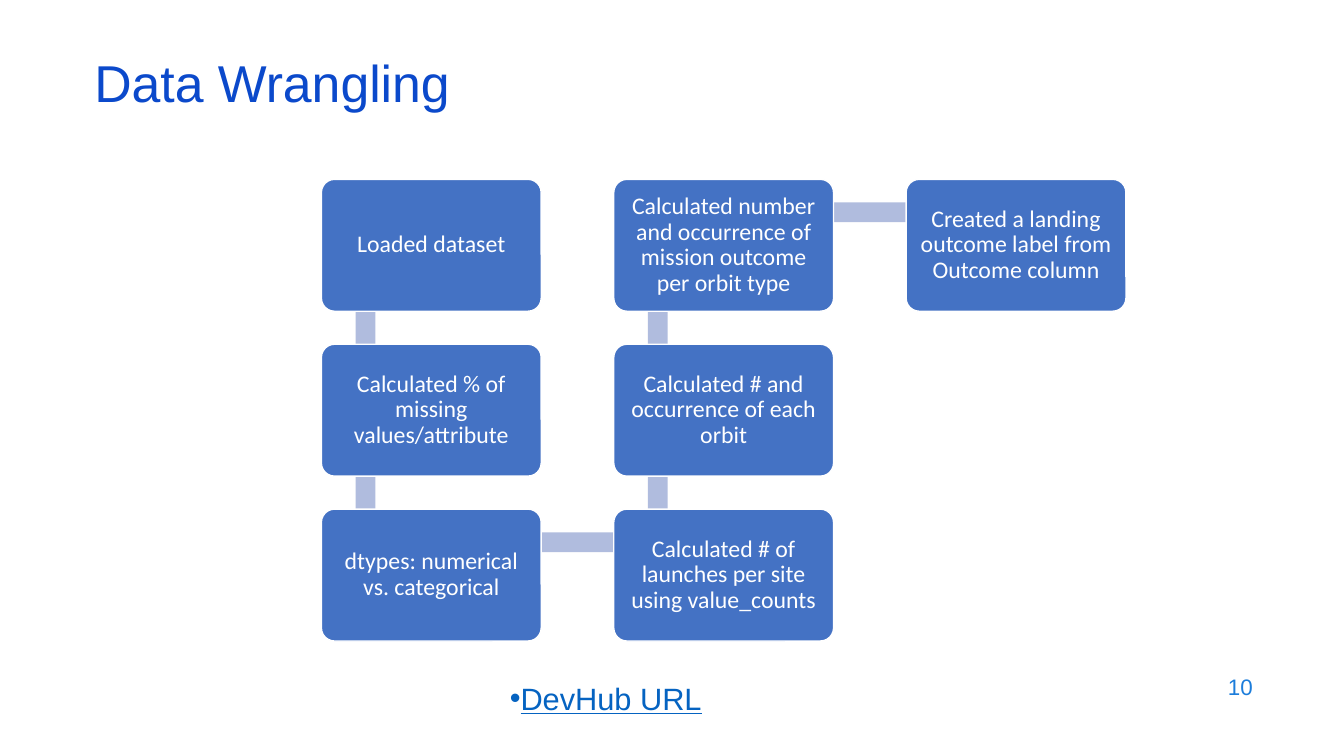
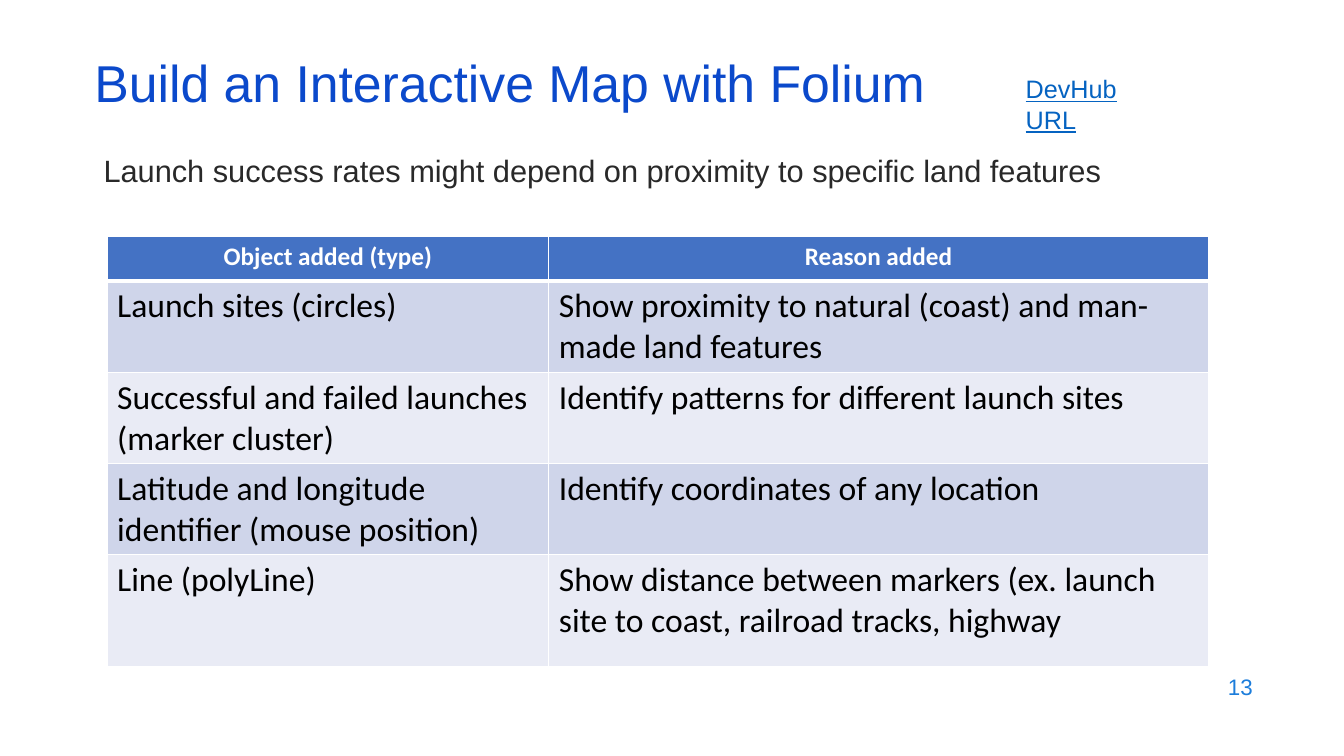
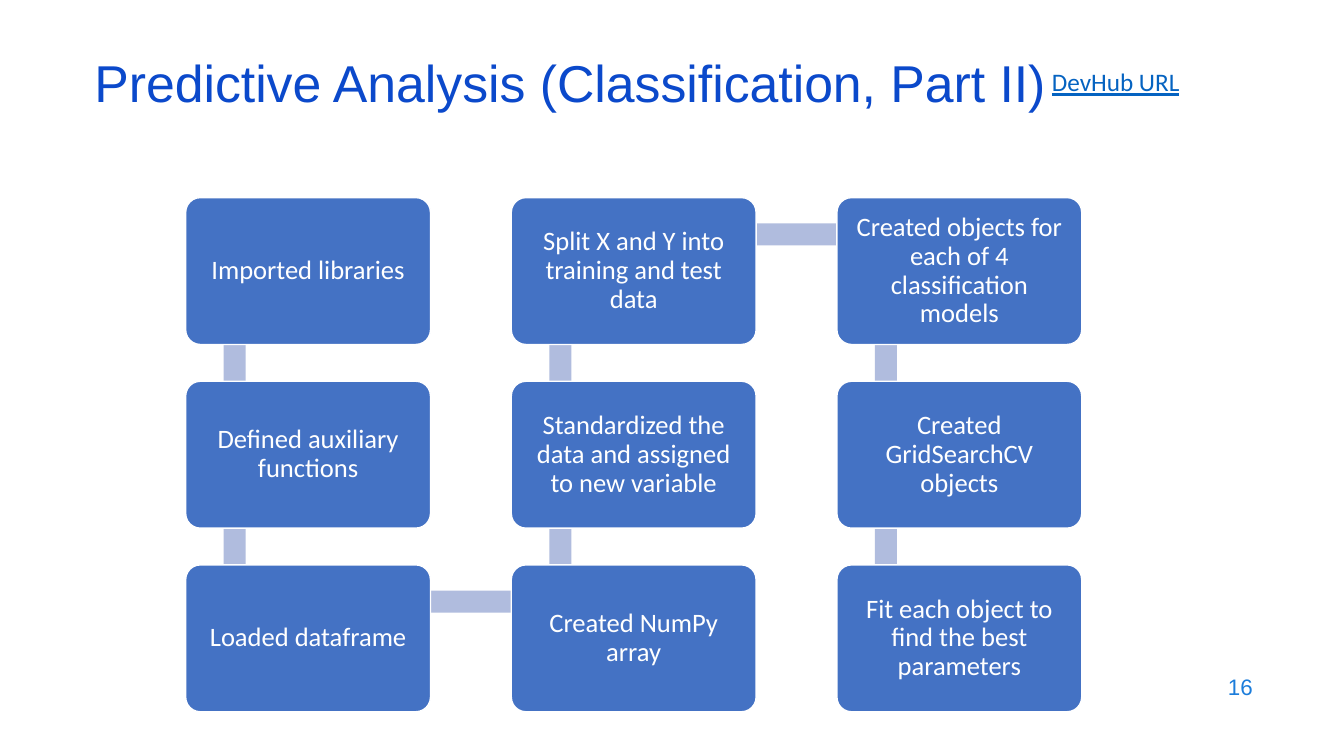
from itertools import pairwise

from lxml import etree
from pptx import Presentation
from pptx.dml.color import RGBColor
from pptx.enum.shapes import MSO_SHAPE as SHAPE
from pptx.enum.text import MSO_ANCHOR as ANCHOR, PP_ALIGN as ALIGN
from pptx.oxml.ns import qn
from pptx.util import Cm, Pt

WHITE, BLACK, BLUE, BAR = "FFFFFF", "000000", "4472C4", "B0BCDE"
BANDS = ("CFD5EA", "E9EBF5")
TITLE = {"name": "Arial", "size": Pt(37), "color": "0B49CB"}
NUMBER = {"name": "Arial", "size": Pt(16), "color": "1C7DDB"}
BODY = {"name": "Arial", "size": Pt(22), "color": "292929"}
LINK = {"name": "Arial", "size": Pt(18), "color": "0563C1", "underline": True}
HEAD = {"name": "Calibri", "size": Pt(18), "color": WHITE, "bold": True}
CELL = {"name": "Calibri", "size": Pt(24), "color": BLACK, "bold": False}

WRANGLING = [
    "Loaded dataset",
    "Calculated % of missing values/attribute",
    "dtypes: numerical vs. categorical",
    "Calculated # of launches per site using value_counts",
    "Calculated # and occurrence of each orbit",
    "Calculated number and occurrence of mission outcome per orbit type",
    "Created a landing outcome label from Outcome column",
]
MAP_OBJECTS = [
    ("Object added (type)", "Reason added"),
    ("Launch sites (circles)",
     "Show proximity to natural (coast) and man-made land features"),
    ("Successful and failed launches (marker cluster)",
     "Identify patterns for different launch sites"),
    ("Latitude and longitude identifier (mouse position)",
     "Identify coordinates of any location"),
    ("Line (polyLine)",
     "Show distance between markers (ex. launch site to coast, railroad tracks, highway"),
]
CLASSIFICATION = [
    "Imported libraries",
    "Defined auxiliary functions",
    "Loaded dataframe",
    "Created NumPy array",
    "Standardized the data and assigned to new variable",
    "Split X and Y into training and test data",
    "Created objects for each of 4 classification models",
    "Created GridSearchCV objects",
    "Fit each object to find the best parameters",
]


def rgb(value):
    """Turn a hex string into a colour."""
    return RGBColor.from_string(value)


def write(tf, text, fmt, align=ALIGN.LEFT, spacing=1.0):
    """Write one formatted paragraph into a text frame."""
    p = tf.paragraphs[0]
    p.alignment, p.line_spacing = align, spacing
    r = p.add_run()
    r.text = text
    for key, value in fmt.items():
        if key == "color":
            r.font.color.rgb = rgb(value)
        else:
            setattr(r.font, key, value)
    return p


def add_text(s, box, text, fmt, anchor=ANCHOR.TOP, **layout):
    """Add a wrapping text box and return its paragraph."""
    tf = s.shapes.add_textbox(*map(Cm, box)).text_frame
    tf.word_wrap, tf.vertical_anchor = True, anchor
    return write(tf, text, fmt, **layout)


def add_bullet(p):
    """Put a bullet directly before a paragraph's text."""
    pPr = p._p.get_or_add_pPr()
    pPr.set("marL", "0")
    pPr.set("indent", "0")
    etree.SubElement(pPr, qn("a:buFont")).set("typeface", "Arial")
    etree.SubElement(pPr, qn("a:buChar")).set("char", "•")


def add_block(s, kind, box, fill):
    """Add a flat filled shape without an outline."""
    sp = s.shapes.add_shape(kind, *map(Cm, box))
    sp.shadow.inherit = False
    sp.fill.solid()
    sp.fill.fore_color.rgb = rgb(fill)
    sp.line.fill.background()
    return sp


def add_tile(s, box, text, size):
    """Add a rounded step tile with centred text."""
    sp = add_block(s, SHAPE.ROUNDED_RECTANGLE, box, BLUE)
    sp.adjustments[0] = 0.1
    sp.line.color.rgb, sp.line.width = rgb(WHITE), Pt(1)
    tf = sp.text_frame
    tf.word_wrap, tf.vertical_anchor = True, ANCHOR.MIDDLE
    for side in ("left", "top", "right", "bottom"):
        setattr(tf, f"margin_{side}", Cm(size * 0.01))
    fmt = {"name": "Calibri", "size": Pt(size), "color": WHITE}
    write(tf, text, fmt, ALIGN.CENTER, 0.9)


def add_snake(s, left, top, width, size, steps, rows=3):
    """Lay steps down and up neighbouring columns, joined by bars."""
    height, thick = width * 0.6, width * 0.09
    spots = []
    for i in range(len(steps)):
        col, row = divmod(i, rows)
        if col % 2:
            row = rows - 1 - row
        spots.append((left + col * width * 1.33, top + row * height * 1.25))
    for (x1, y1), (x2, y2) in pairwise(spots):
        x = min(x1, x2) + width * 0.2 - (thick / 2 if x1 == x2 else 0)
        y = min(y1, y2) + height * 0.25 - (thick / 2 if y1 == y2 else 0)
        box = (x, y, abs(x2 - x1) or thick, abs(y2 - y1) or thick)
        add_block(s, SHAPE.RECTANGLE, box, BAR)
    for (x, y), text in zip(spots, steps):
        add_tile(s, (x, y, width, height), text, size)


def add_border(cell, side, points):
    """Draw a white border on one side of a cell."""
    ln = etree.SubElement(cell._tc.get_or_add_tcPr(), qn(f"a:ln{side}"))
    ln.set("w", str(Pt(points)))
    fill = etree.SubElement(ln, qn("a:solidFill"))
    etree.SubElement(fill, qn("a:srgbClr")).set("val", WHITE)


def add_grid(s, left, top, widths, heights, rows):
    """Add a table with a header row and banded body rows."""
    box = (left, top, sum(widths), sum(heights))
    table = s.shapes.add_table(len(rows), len(widths), *map(Cm, box)).table
    for col, width in zip(table.columns, widths):
        col.width = Cm(width)
    for i, (row, height) in enumerate(zip(rows, heights)):
        table.rows[i].height = Cm(height)
        for j, text in enumerate(row):
            cell = table.cell(i, j)
            for side in "LRTB":
                add_border(cell, side, 3 if (i, side) in ((0, "B"), (1, "T")) else 1)
            cell.fill.solid()
            cell.fill.fore_color.rgb = rgb(BANDS[(i - 1) % 2] if i else BLUE)
            write(cell.text_frame, text, CELL if i else HEAD,
                  ALIGN.LEFT if i else ALIGN.CENTER)


def add_page(prs, title, number):
    """Add a slide with its title and page number."""
    s = prs.slides.add_slide(prs.slide_layouts[6])
    add_text(s, (24.2, 16.74, 7.62, 1.12), number, NUMBER, ANCHOR.MIDDLE, align=ALIGN.RIGHT)
    add_text(s, (2.13, 1.5, 29.2, 1.52), title, TITLE, ANCHOR.MIDDLE, spacing=0.7)
    return s


def main():
    """Build the three slides."""
    prs = Presentation()
    prs.slide_width, prs.slide_height = Cm(33.87), Cm(19.05)

    s = add_page(prs, "Data Wrangling", "10")
    p = add_text(s, (12.6, 17.1, 7.62, 1.52), "DevHub URL", LINK | {"size": Pt(22)}, spacing=0.9)
    add_bullet(p)
    add_snake(s, 8.1, 4.52, 5.54, 17, WRANGLING)

    s = add_page(prs, "Build an Interactive Map with Folium", "13")
    add_text(s, (2.36, 3.7, 28.8, 1.52),
             "Launch success rates might depend on proximity to specific land features", BODY)
    add_text(s, (25.6, 1.73, 3.2, 1.8), "DevHub URL", LINK)
    add_grid(s, 2.7, 5.95, (11.13, 16.62), (1.13, 2.3, 2.3, 2.3, 2.82), MAP_OBJECTS)

    s = add_page(prs, "Predictive Analysis (Classification, Part II)", "16")
    add_text(s, (26.26, 1.55, 4.5, 1.02), "DevHub URL", LINK | {"name": "Calibri"})
    add_snake(s, 4.68, 4.98, 6.17, 19, CLASSIFICATION)

    prs.save("out.pptx")


if __name__ == "__main__":
    main()
